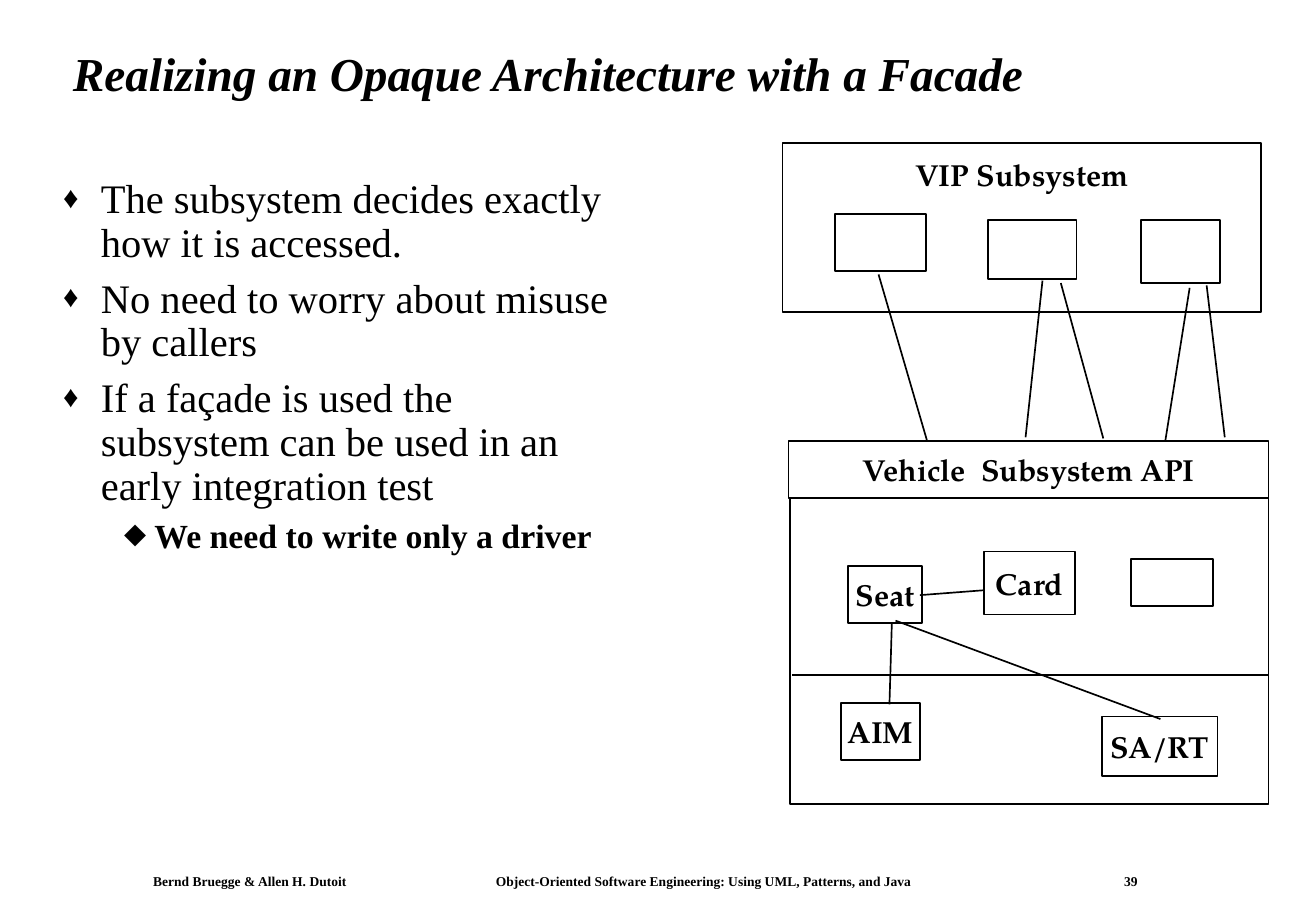
from dataclasses import dataclass

from lxml.etree import SubElement
from pptx import Presentation
from pptx.dml.color import RGBColor
from pptx.enum.shapes import MSO_CONNECTOR, MSO_SHAPE
from pptx.enum.text import MSO_ANCHOR, MSO_AUTO_SIZE, PP_ALIGN
from pptx.oxml.ns import qn
from pptx.util import Inches, Pt

# Content
TITLE = "Realizing an Opaque Architecture with a Facade"
POINTS = [  # (level, text)
    (0, "The subsystem decides exactly how it is accessed."),
    (0, "No need to worry about misuse by callers"),
    (0, "If a façade is used the subsystem can be used in an early integration test"),
    (1, "We need to write only a driver"),
]
FOOTER = ["Bernd Bruegge & Allen H. Dutoit",
          "Object-Oriented Software Engineering: Using UML, Patterns, and Java",
          "39"]

# Places: left, top, width, height in percent of the slide
TITLE_AREA = (4.62, 3.2, 89.2, 10.27)
POINTS_AREA = (3.88, 18.93, 44.32, 71.73)
FOOTER_AREA = (10.9, 95.33, 76.36, 2.8)
FOOTER_TABS = (26.04, 73.78)

SUBSYSTEMS = [  # (label, area, anchor)
    ("VIP Subsystem", (59.46, 15.73, 36.38, 18.53), MSO_ANCHOR.TOP),
    ("", (60.02, 54.4, 36.38, 33.87), MSO_ANCHOR.MIDDLE),
    ("Vehicle  Subsystem API", (59.93, 48.4, 36.47, 6.27), MSO_ANCHOR.MIDDLE),
]
CLASSES = [  # (label, area)
    ("", (63.43, 23.47, 6.93, 6.27)),
    ("", (75.07, 24.13, 6.74, 6.53)),
    ("", (86.7, 24.13, 6, 6.93)),
    ("Seat", (64.45, 62.13, 5.63, 6.27)),
    ("Card", (74.79, 60.53, 6.93, 6.93)),
    ("", (85.96, 61.33, 6.19, 5.2)),
    ("AIM", (63.9, 77.2, 6, 6.27)),
    ("SA/RT", (83.75, 78.67, 8.77, 6.53)),
]
LINES = [  # from x, from y, to x, to y
    # Calls from the VIP classes to the API
    (66.76, 30.13, 70.45, 48.4),
    (79.22, 30.8, 77.93, 48),
    (80.61, 31.07, 83.84, 48.13),
    (90.4, 31.6, 88.55, 48.4),
    (91.69, 31.33, 93.07, 48),
    # Layer border and links inside the vehicle subsystem
    (60.2, 74.13, 96.4, 74.13),
    (67.77, 68.4, 67.59, 77.33),
    (68.05, 68.13, 88.18, 78.93),
    (69.9, 65.33, 74.7, 64.8),
]


@dataclass(frozen=True)
class Theme:
    ink: RGBColor = RGBColor(0, 0, 0)
    paper: RGBColor = RGBColor(255, 255, 255)
    text_font: str = "Times New Roman"
    label_font: str = "TeX Gyre Pagella"
    title_size: int = 28
    label_size: int = 18
    footer_size: int = 8
    line_width: int = 1
    line_spacing: float = 0.9
    # Per level: size, bold, bullet, bullet percent, left margin, hanging indent
    levels: tuple = ((24, False, "♦", 75, 0.31, 0.31),
                     (20, True, "⬥", 100, 0.75, 0.25))


THEME = Theme()
deck = Presentation()
deck.slide_width, deck.slide_height = Inches(10.83), Inches(7.5)
page = deck.slides.add_slide(deck.slide_layouts[1])


def across(percent):
    return round(deck.slide_width * percent / 100)


def down(percent):
    return round(deck.slide_height * percent / 100)


def place(area):
    left, top, width, height = area
    return across(left), down(top), across(width), down(height)


def move(shape, area):
    shape.left, shape.top, shape.width, shape.height = place(area)


def style(para, size, bold=True, italic=False, font=THEME.text_font):
    for span in para.runs:
        span.font.name, span.font.size = font, Pt(size)
        span.font.bold, span.font.italic = bold, italic
        span.font.color.rgb = THEME.ink


def add_bullet(para, bullet, percent, margin, hanging):
    settings = para._p.get_or_add_pPr()
    settings.set("marL", str(Inches(margin)))
    settings.set("indent", str(-Inches(hanging)))
    colour = SubElement(settings, qn("a:buClr"))
    SubElement(colour, qn("a:srgbClr"), val=str(THEME.ink))
    SubElement(settings, qn("a:buSzPct"), val=str(percent * 1000))
    SubElement(settings, qn("a:buFont"), typeface=THEME.text_font)
    SubElement(settings, qn("a:buChar"), char=bullet)


def add_box(label, area, anchor=MSO_ANCHOR.MIDDLE):
    box = page.shapes.add_shape(MSO_SHAPE.RECTANGLE, *place(area))
    box.shadow.inherit = False
    box.fill.solid()
    box.fill.fore_color.rgb = THEME.paper
    box.line.color.rgb = THEME.ink
    box.line.width = Pt(THEME.line_width)
    if label:
        frame = box.text_frame
        frame.text = label
        frame.word_wrap = False
        frame.vertical_anchor = anchor
        if anchor == MSO_ANCHOR.TOP:
            frame.margin_top = Inches(0.11)
        para = frame.paragraphs[0]
        para.alignment = PP_ALIGN.CENTER
        style(para, THEME.label_size, font=THEME.label_font)


def add_line(start_x, start_y, end_x, end_y):
    line = page.shapes.add_connector(MSO_CONNECTOR.STRAIGHT, across(start_x),
                                     down(start_y), across(end_x), down(end_y))
    line.line.color.rgb = THEME.ink
    line.line.width = Pt(THEME.line_width)
    SubElement(line._element.spPr, qn("a:effectLst"))


# Title
title = page.shapes.title
move(title, TITLE_AREA)
title.text_frame.text = TITLE
title.text_frame.auto_size = MSO_AUTO_SIZE.NONE
title.text_frame.vertical_anchor = MSO_ANCHOR.MIDDLE
heading = title.text_frame.paragraphs[0]
heading.alignment = PP_ALIGN.LEFT
heading.line_spacing = THEME.line_spacing
style(heading, THEME.title_size, italic=True)

# Bulleted points
body = page.placeholders[1]
move(body, POINTS_AREA)
body.text_frame.text = "\n".join(text for _, text in POINTS)
body.text_frame.auto_size = MSO_AUTO_SIZE.NONE
for index, (para, (level, _)) in enumerate(zip(body.text_frame.paragraphs, POINTS)):
    size, bold, *bullet = THEME.levels[level]
    para.level = level
    add_bullet(para, *bullet)
    para.line_spacing = THEME.line_spacing
    para.space_before = Pt(0.3 * size if index else 0)
    style(para, size, bold)

# Architecture diagram
for subsystem in SUBSYSTEMS:
    add_box(*subsystem)
for item in CLASSES:
    add_box(*item)
for ends in LINES:
    add_line(*ends)

# Footer, its three parts set at tab stops
footer = page.shapes.add_textbox(*place(FOOTER_AREA))
frame = footer.text_frame
frame.word_wrap = True
frame.margin_left = frame.margin_right = Inches(0.08)
frame.margin_top = frame.margin_bottom = Inches(0.04)
frame.text = "\t".join(FOOTER)
para = frame.paragraphs[0]
tabs = SubElement(para._p.get_or_add_pPr(), qn("a:tabLst"))
for stop in FOOTER_TABS:
    SubElement(tabs, qn("a:tab"), pos=str(across(stop)), algn="l")
style(para, THEME.footer_size)

deck.save("out.pptx")
